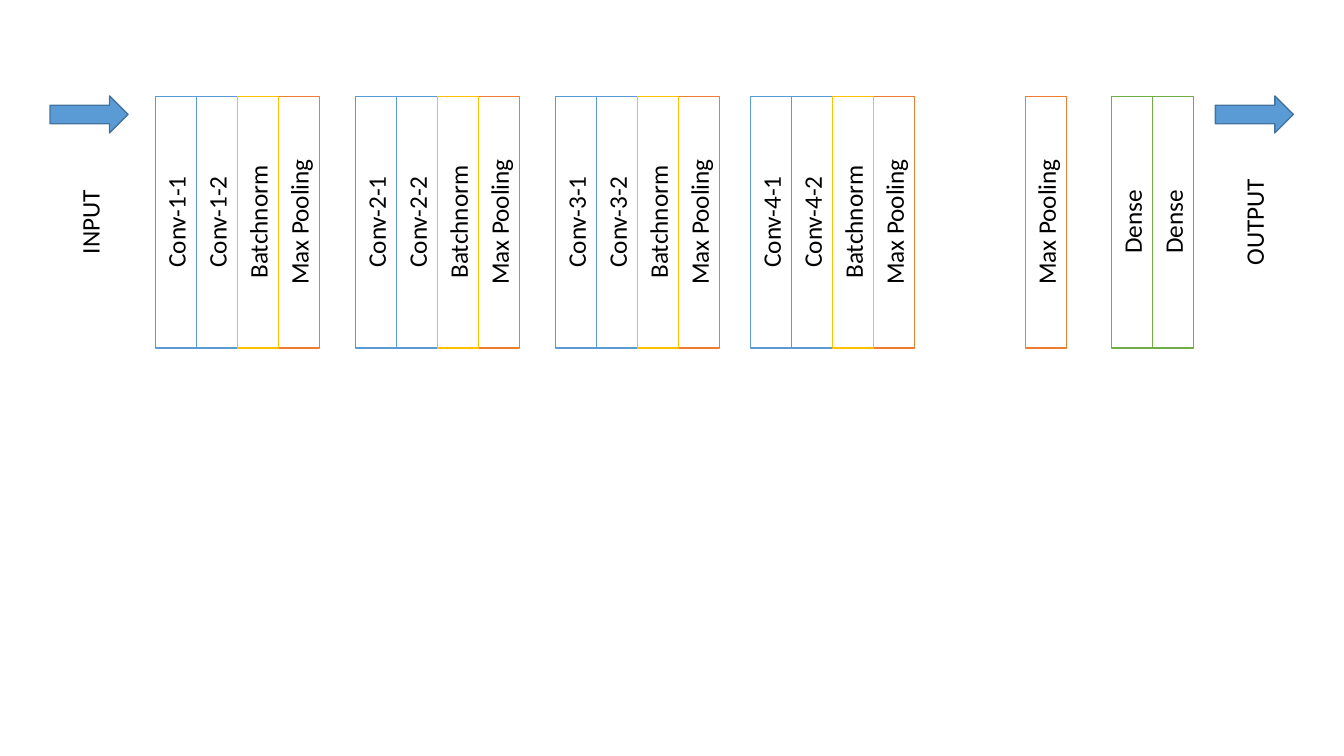
from pptx import Presentation
from pptx.dml.color import RGBColor
from pptx.enum.shapes import MSO_SHAPE
from pptx.enum.text import MSO_ANCHOR, MSO_AUTO_SIZE, PP_ALIGN
from pptx.util import Inches, Pt

RECTANGLE = MSO_SHAPE.RECTANGLE
RIGHT_ARROW = MSO_SHAPE.RIGHT_ARROW
TOP = MSO_ANCHOR.TOP
GROW = MSO_AUTO_SIZE.SHAPE_TO_FIT_TEXT
CENTER = PP_ALIGN.CENTER

BLACK = RGBColor(0x00, 0x00, 0x00)
BLUE = RGBColor(0x5B, 0x9B, 0xD5)
DARK_BLUE = RGBColor(0x43, 0x73, 0x9E)
ORANGE = RGBColor(0xED, 0x7D, 0x31)
YELLOW = RGBColor(0xFF, 0xC0, 0x00)
GREEN = RGBColor(0x70, 0xAD, 0x47)

SCALE = Inches(1) / 100.8
FONT = "Calibri"
CENTER_Y = 222
LAYER_LENGTH = 252
LAYER_WIDTH = 41
LABEL_LENGTH = 283
ARROW_TOP, ARROW_WIDTH, ARROW_HEIGHT = 96, 78, 37

BLOCK_CENTERS = (176, 376, 576, 771)
POOLING_CENTER = 1046
DENSE_CENTER = 1132
INPUT_CENTER, OUTPUT_CENTER = 90, 1254
INPUT_ARROW_LEFT, OUTPUT_ARROW_LEFT = 50, 1215


def emu(*pixels):
    """Turn pixel lengths into EMU."""
    return [round(pixel * SCALE) for pixel in pixels]


def upright_frame(center_x, length):
    """Return the unrotated frame of an element that will be turned upright."""
    return emu(center_x - length / 2, CENTER_Y - LAYER_WIDTH / 2,
               length, LAYER_WIDTH)


def write_text(shape, text, size=18, color=BLACK):
    """Turn the shape upright and write its centred line of text."""
    shape.rotation = 270
    text_frame = shape.text_frame
    text_frame.word_wrap = True
    text_frame.auto_size = GROW
    text_frame.vertical_anchor = TOP
    paragraph = text_frame.paragraphs[0]
    paragraph.alignment = CENTER
    run = paragraph.add_run()
    run.text = text
    run.font.name = FONT
    run.font.size = Pt(size)
    run.font.color.rgb = color


def add_layer(slide, text, center_x, color):
    """Add one outlined network layer."""
    shape = slide.shapes.add_shape(
        RECTANGLE, *upright_frame(center_x, LAYER_LENGTH))
    shape.shadow.inherit = False
    shape.fill.background()
    shape.line.color.rgb = color
    shape.line.width = Pt(0.75)
    write_text(shape, text)


def add_block(slide, number, center_x):
    """Add a convolution block: two convolutions, pooling and batchnorm."""
    layers = (
        (0, f"Conv-{number}-1", BLUE),
        (1, f"Conv-{number}-2", BLUE),
        (3, "Max Pooling", ORANGE),
        (2, "Batchnorm", YELLOW),
    )
    for position, text, color in layers:
        add_layer(slide, text, center_x + position * LAYER_WIDTH, color)


def add_label(slide, text, center_x):
    """Add an upright label without an outline."""
    label = slide.shapes.add_textbox(*upright_frame(center_x, LABEL_LENGTH))
    write_text(label, text)


def add_arrow(slide, left):
    """Add a block arrow pointing right."""
    arrow = slide.shapes.add_shape(
        RIGHT_ARROW, *emu(left, ARROW_TOP, ARROW_WIDTH, ARROW_HEIGHT))
    arrow.shadow.inherit = False
    arrow.fill.solid()
    arrow.fill.fore_color.rgb = BLUE
    arrow.line.color.rgb = DARK_BLUE
    arrow.line.width = Pt(1)


def main():
    """Build the network diagram slide."""
    presentation = Presentation()
    presentation.slide_width = Inches(13.33)
    presentation.slide_height = Inches(7.5)
    slide = presentation.slides.add_slide(presentation.slide_layouts[6])

    for number, center_x in enumerate(BLOCK_CENTERS, start=1):
        add_block(slide, number, center_x)
    add_layer(slide, "Max Pooling", POOLING_CENTER, ORANGE)
    for position in range(2):
        add_layer(slide, "Dense", DENSE_CENTER + position * LAYER_WIDTH, GREEN)

    add_label(slide, "INPUT", INPUT_CENTER)
    add_label(slide, "OUTPUT", OUTPUT_CENTER)
    for left in (INPUT_ARROW_LEFT, OUTPUT_ARROW_LEFT):
        add_arrow(slide, left)

    presentation.save("out.pptx")


main()
